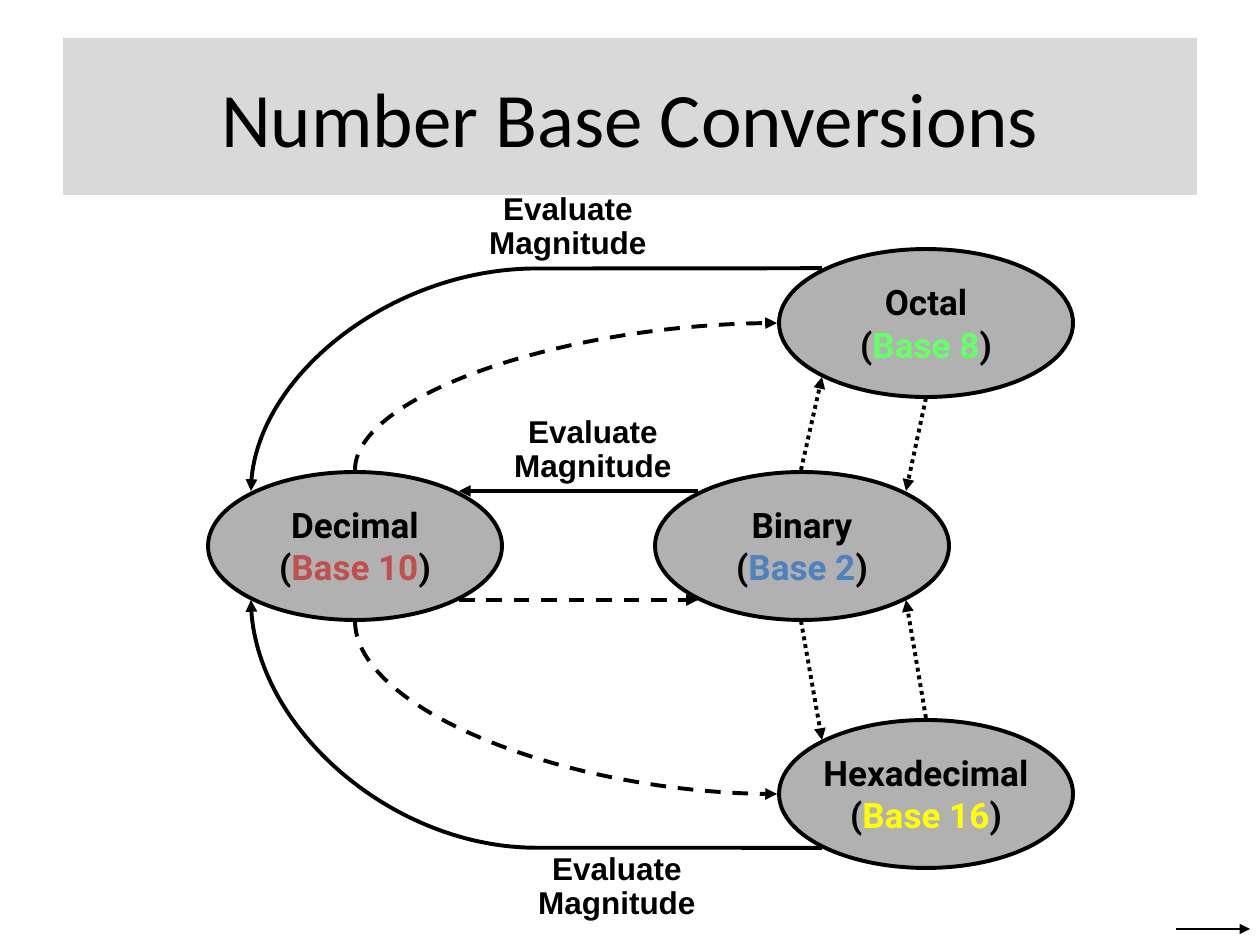
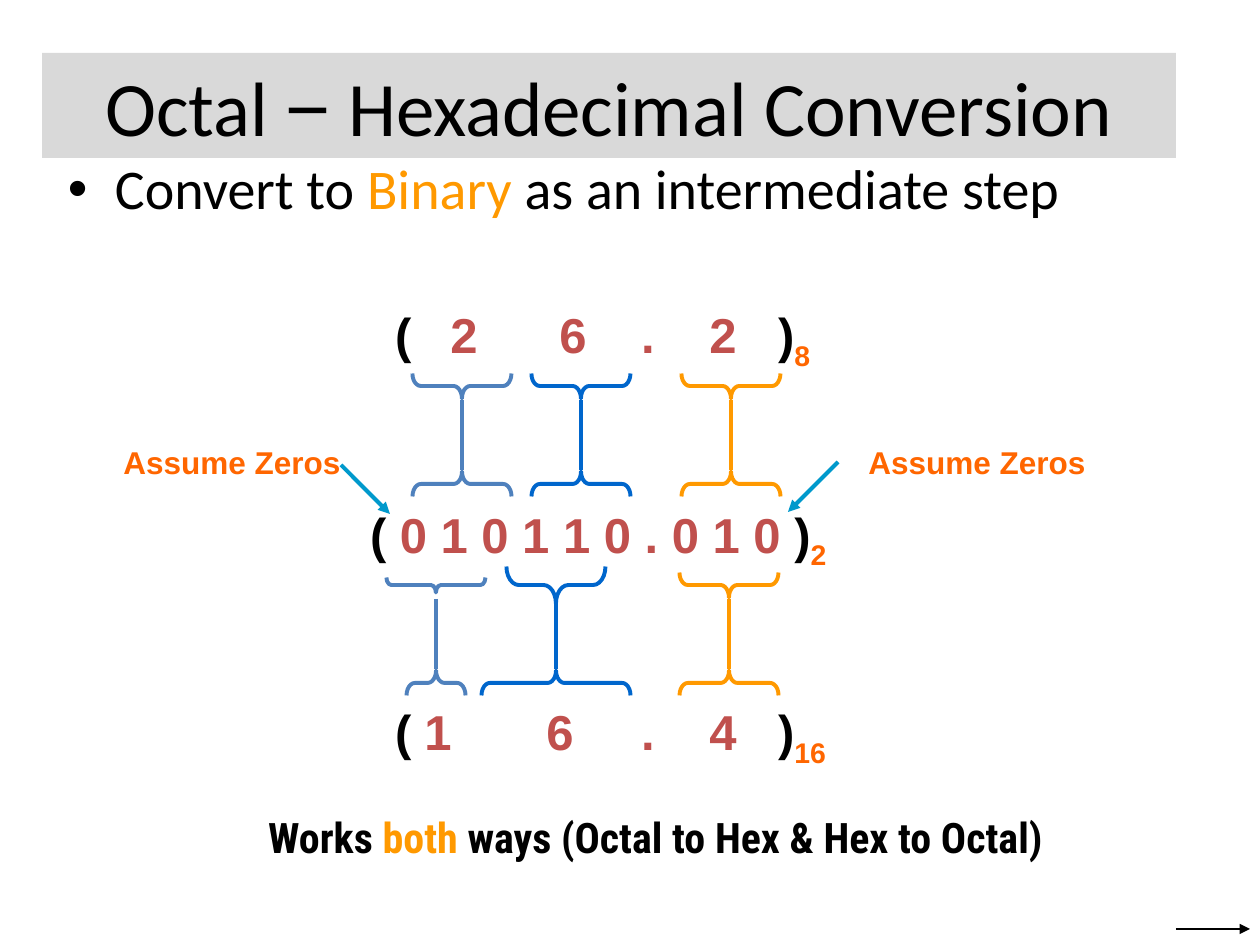
from lxml import etree
from pptx import Presentation
from pptx import util as u
from pptx.dml.color import RGBColor
from pptx.enum import dml, shapes, text
from pptx.oxml.ns import qn

PX = 914400 / 126  # EMU in one px
BLACK = RGBColor(0x00, 0x00, 0x00)
BAND = RGBColor(0xD9, 0xD9, 0xD9)
OVAL = RGBColor(0xB1, 0xB1, 0xB1)
RED = RGBColor(0xC0, 0x50, 0x4D)
GREEN = RGBColor(0x66, 0xFF, 0x66)
STEEL = RGBColor(0x4F, 0x81, 0xBD)
YELLOW = RGBColor(0xFF, 0xFF, 0x00)
AMBER = RGBColor(0xFF, 0x99, 0x00)
ORANGE = RGBColor(0xFF, 0x66, 0x00)
BLUE = RGBColor(0x00, 0x66, 0xCC)
TEAL = RGBColor(0x00, 0x99, 0xCC)
DASH, DOT = dml.MSO_LINE.DASH, dml.MSO_LINE.ROUND_DOT
CENTER, LEFT = text.PP_ALIGN.CENTER, text.PP_ALIGN.LEFT
OVAL_W, OVAL_H = 294, 148


def px(*values):
    return [u.Emu(round(v * PX)) for v in values]


def sub(parent, tag, **attrs):
    el = etree.SubElement(parent, qn(tag))
    for name, value in attrs.items():
        el.set(name, str(value))
    return el


# Text

def write(p, parts, size, font, bold=False, align=CENTER):
    """Fill a paragraph with (text, colour) parts."""
    p.alignment = align
    for words, color in parts:
        r = p.add_run()
        r.text = words
        f = r.font
        f.size, f.name, f.bold = u.Pt(size), font, bold
        f.color.rgb = color


def add_text(s, box, inset=(0, 0)):
    tf = s.shapes.add_textbox(*px(*box)).text_frame
    tf.word_wrap = True
    tf.margin_left = tf.margin_right = px(inset[0])[0]
    tf.margin_top = tf.margin_bottom = px(inset[1])[0]
    return tf.paragraphs[0]


def add_label(s, words, box, color=BLACK):
    p = add_text(s, box)
    p.line_spacing = 0.9
    write(p, [(words, color)], 18, "Arial", True)


def add_bullet(s, parts, box):
    p = add_text(s, box, (9, 4))
    pPr = p._p.get_or_add_pPr()
    indent = px(47)[0]
    pPr.set("marL", str(indent))
    pPr.set("indent", str(-indent))
    sub(pPr, "a:buFont", typeface="Arial")
    sub(pPr, "a:buChar", char="•")
    write(p, parts, 32, "Calibri", align=LEFT)


def add_number(s, digits, base, x, y, centers=()):
    """A bracketed number with its base; digits sit on centred tab stops."""
    p = add_text(s, (x, y, 500, 72), (13, 6))
    if centers:
        tabs = sub(p._p.get_or_add_pPr(), "a:tabLst")
        for c in centers:
            sub(tabs, "a:tab", pos=px(c)[0], algn="ctr")
        sub(tabs, "a:tab", pos=px(383)[0], algn="l")
    parts = [("(", BLACK), (digits, RED), (")", BLACK), (base, ORANGE)]
    write(p, parts, 28, "Arial", True, LEFT)
    p.runs[-1].font._element.set("baseline", "-25000")


# Lines and shapes

def style_line(c, color, width, dash, arrow):
    c.line.color.rgb = color
    c.line.width = u.Pt(width)
    if dash:
        c.line.dash_style = dash
    if arrow:
        sub(c.line._get_or_add_ln(), "a:tailEnd", type="triangle")
    sub(c._element.spPr, "a:effectLst")


def add_line(s, start, end, color=BLACK, width=2.25, dash=None, arrow=True):
    c = s.shapes.add_connector(shapes.MSO_CONNECTOR.STRAIGHT, *px(*start, *end))
    style_line(c, color, width, dash, arrow)


def add_curve(s, start, end, dash=None, adj=None):
    """A curved arrow that is turned a quarter to the left."""
    (x1, y1), (x2, y2) = start, end
    w, h = abs(y2 - y1), abs(x2 - x1)
    left, top = (x1 + x2 - w) / 2, (y1 + y2 - h) / 2
    c = s.shapes.add_connector(shapes.MSO_CONNECTOR.CURVE,
                               *px(left, top, left + w, top + h))
    xfrm = c._element.spPr.find(qn("a:xfrm"))
    xfrm.set("rot", str(270 * 60000))
    if y2 > y1:
        xfrm.set("flipH", "1")
    if x2 < x1:
        xfrm.set("flipV", "1")
    geom = c._element.spPr.find(qn("a:prstGeom"))
    if adj is None:
        geom.set("prst", "curvedConnector2")
    else:
        avLst = geom.find(qn("a:avLst"))
        if avLst is None:
            avLst = sub(geom, "a:avLst")
        sub(avLst, "a:gd", name="adj1", fmla=f"val {adj}")
    style_line(c, BLACK, 2.25, dash, True)


def add_base(s, name, base, color, x, y):
    sp = s.shapes.add_shape(shapes.MSO_SHAPE.OVAL, *px(x, y, OVAL_W, OVAL_H))
    sp.shadow.inherit = False
    sp.fill.solid()
    sp.fill.fore_color.rgb = OVAL
    sp.line.color.rgb = BLACK
    sp.line.width = u.Pt(2.25)
    tf = sp.text_frame
    tf.word_wrap = False
    tf.vertical_anchor = text.MSO_ANCHOR.MIDDLE
    write(tf.paragraphs[0], [(name, BLACK)], 20, "Roboto", True)
    write(tf.add_paragraph(), [("(", BLACK), (base, color), (")", BLACK)],
          20, "Roboto", True)


def add_brace(s, cx, cy, width, height, rotation, color):
    sp = s.shapes.add_shape(shapes.MSO_SHAPE.LEFT_BRACE,
                            *px(cx - height / 2, cy - width / 2, height, width))
    sp.rotation = rotation
    sp.adjustments[0] = 0.334
    sp.shadow.inherit = False
    sp.fill.background()
    sp.line.color.rgb = color
    sp.line.width = u.Pt(2.25)


def add_link(s, cx, y, color, upper=(99, 25), lower=99):
    """Two facing braces joined by a stem; y is the middle of the upper one."""
    add_brace(s, cx, y, *upper, 270, color)
    add_brace(s, cx, y + 98, lower, 25, 90, color)
    add_line(s, (cx, y + 14), (cx, y + 84), color, arrow=False)


# Shared slide frame

def add_slide(prs, title, box):
    s = prs.slides.add_slide(prs.slide_layouts[5])
    sp = s.shapes.title
    sp.left, sp.top, sp.width, sp.height = px(*box)
    sp.fill.solid()
    sp.fill.fore_color.rgb = BAND
    tf = sp.text_frame
    tf.auto_size = text.MSO_AUTO_SIZE.NONE
    tf.vertical_anchor = text.MSO_ANCHOR.MIDDLE
    write(tf.paragraphs[0], [(t, BLACK) for t in title], 44, "Calibri")
    add_line(s, (1176, 929), (1250, 929), width=0.75)
    return s


def conversions_slide(prs):
    s = add_slide(prs, ["Number Base Conversions"], (63, 38, 1134, 157))

    # Number bases
    for name, base, color, x, y in [
            ("Decimal", "Base 10", RED, 208, 472),
            ("Octal", "Base 8", GREEN, 779, 249),
            ("Binary", "Base 2", STEEL, 655, 472),
            ("Hexadecimal", "Base 16", YELLOW, 779, 720)]:
        add_base(s, name, base, color, x, y)

    # Decimal and binary
    add_line(s, (459, 600), (698, 600), dash=DASH)
    add_line(s, (698, 491), (459, 491))

    # Binary with octal and hexadecimal
    for start, end in [((801, 470), (822, 377)), ((926, 398), (906, 491)),
                       ((926, 718), (906, 600)), ((801, 621), (822, 740))]:
        add_line(s, start, end, dash=DOT)

    # Decimal with octal and hexadecimal
    add_curve(s, (822, 268), (251, 491), adj=200)
    add_curve(s, (355, 470), (777, 323), DASH)
    add_curve(s, (355, 621), (777, 794), DASH)
    add_curve(s, (822, 848), (251, 600), adj=100)

    for x, y in [(481, 193), (506, 416), (530, 853)]:
        add_label(s, "Evaluate Magnitude", (x, y, 174, 68))


def octal_hex_slide(prs):
    s = add_slide(prs, ["Octal ", "−", " Hexadecimal Conversion"],
                  (42, 53, 1134, 105))
    s.shapes.title.text_frame.paragraphs[0].runs[1].font.name = "Arial"
    add_bullet(s, [("Convert to ", BLACK), ("Binary", AMBER),
                   (" as an intermediate step", BLACK)], (59, 150, 1166, 66))

    # The same number in three bases
    add_number(s, "\t2\t6\t.\t2\t", "8", 382, 299, (69, 178, 253, 328))
    add_number(s, " 0 1 0 1 1 0 . 0 1 0 ", "2", 357, 498)
    add_number(s, "\t1\t6\t.\t4\t", "16", 382, 696, (43, 165, 253, 328))

    # Digit groups: octal to binary, then binary to hexadecimal
    for cx, color in [(462, STEEL), (581, BLUE), (731, AMBER)]:
        add_link(s, cx, 386, color)
    add_link(s, 436, 585, STEEL, (99, 15), 59)
    add_link(s, 556, 585, BLUE, (99, 37), 149)
    add_link(s, 729, 585, AMBER)

    # Padding zeros
    for x, start, end in [(108, (341, 465), (390, 514)),
                          (853, (838, 462), (788, 512))]:
        add_label(s, "Assume Zeros", (x, 447, 248, 34), ORANGE)
        add_line(s, start, end, TEAL)

    p = add_text(s, (159, 806, 993, 63), (13, 6))
    write(p, [("Works ", BLACK), ("both", AMBER),
              (" ways (Octal to Hex & Hex to Octal)", BLACK)],
          24, "Roboto Condensed", True)


def main():
    prs = Presentation()
    prs.slide_width, prs.slide_height = px(1260, 945)
    conversions_slide(prs)
    octal_hex_slide(prs)
    prs.save("out.pptx")


if __name__ == "__main__":
    main()
